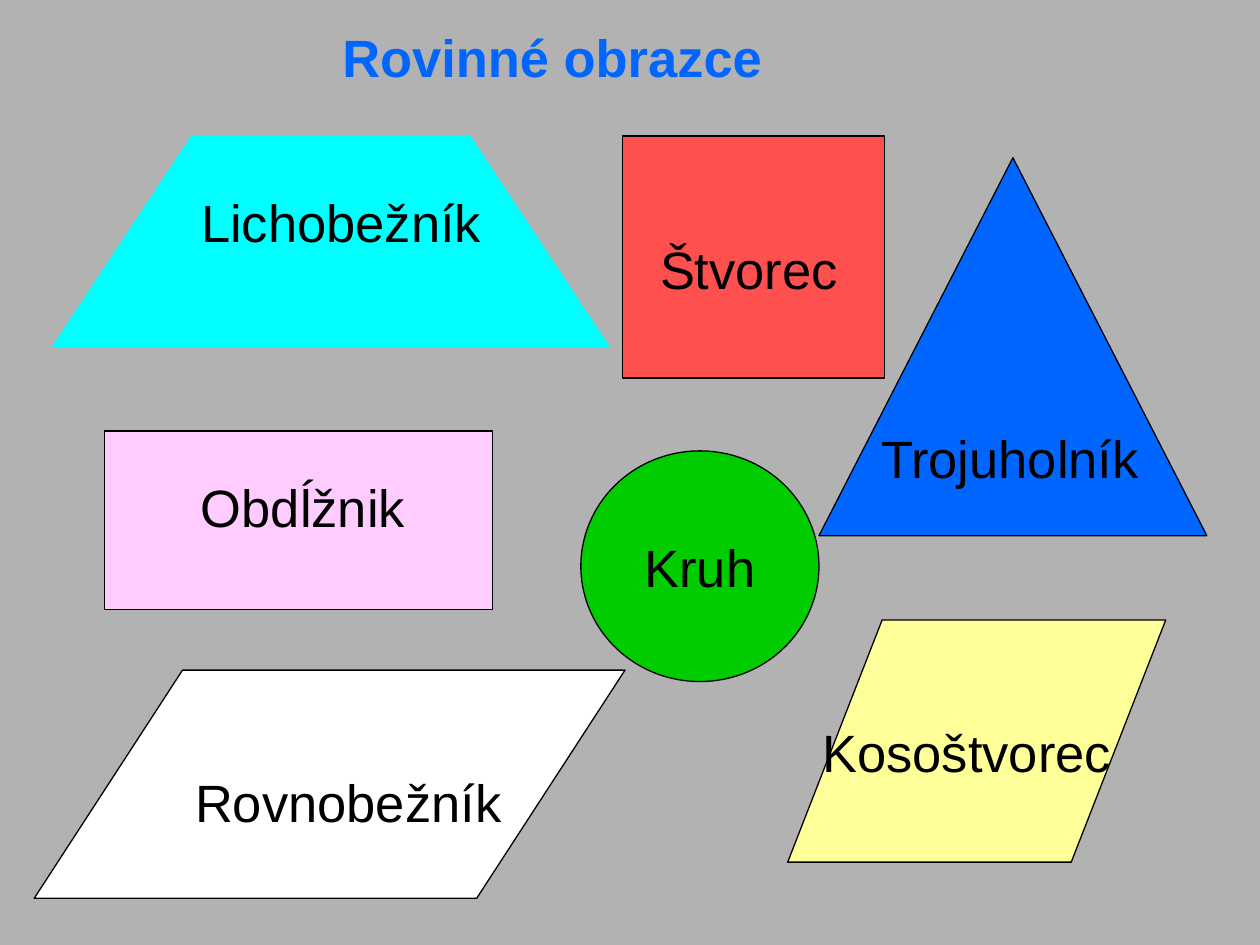
from pptx import Presentation
from pptx import util as u
from pptx.dml.color import RGBColor
from pptx.enum import shapes, text

Cm, Pt = u.Cm, u.Pt
FORM = shapes.MSO_SHAPE
COLORS = {
    "background": "B2B2B2", "black": "000000", "blue": "0066FF",
    "red": "FF5050", "white": "FFFFFF", "cyan": "00FFFF",
    "yellow": "FFFF99", "pink": "FFCCFF", "green": "00CC00",
}
LABEL_HEIGHT = 1.52

# name, form, adjustment, fill, line, box, label (centre x, top, width) within the box
FIGURES = [
    ("Štvorec", FORM.RECTANGLE, None, "red", "black",
     (12.55, 2.74, 5.28, 4.88), (2.55, 1.91, 4.1)),
    ("Trojuholník", FORM.ISOSCELES_TRIANGLE, 0.5, "blue", "black",
     (16.51, 3.18, 7.82, 7.62), (3.85, 5.28, 5.75)),
    ("Rovnobežník", FORM.PARALLELOGRAM, 0.65, "white", "black",
     (0.69, 13.51, 11.91, 4.6), (6.33, 1.88, 6.7)),
    ("Lichobežník", FORM.TRAPEZOID, 0.66, "cyan", "cyan",
     (1.07, 2.74, 11.2, 4.24), (5.81, 0.97, 6.2)),
    ("Kosoštvorec", FORM.PARALLELOGRAM, 0.39, "yellow", "black",
     (15.88, 12.5, 7.62, 4.88), (3.61, 1.88, 6.4)),
    ("Obdĺžnik", FORM.RECTANGLE, None, "pink", "black",
     (2.11, 8.69, 7.82, 3.6), (4.0, 0.76, 4.7)),
    ("Kruh", FORM.OVAL, None, "green", "black",
     (11.71, 9.09, 4.8, 4.65), None),
]


def rgb(color):
    return RGBColor.from_string(COLORS[color])


def write(frame, words, color="black", bold=False,
          align=text.PP_ALIGN.CENTER, anchor=text.MSO_ANCHOR.TOP):
    frame.word_wrap = False
    frame.auto_size = text.MSO_AUTO_SIZE.NONE
    frame.vertical_anchor = anchor
    frame.margin_left = frame.margin_right = Cm(0.25)
    frame.margin_top = frame.margin_bottom = Cm(0.13)
    paragraph = frame.paragraphs[0]
    paragraph.alignment = align
    paragraph.line_spacing = 1.0
    paragraph.space_before = Pt(0)
    run = paragraph.add_run()
    run.text = words
    run.font.name = "Arial"
    run.font.size = Pt(30)
    run.font.bold = bold
    run.font.color.rgb = rgb(color)


def place_title(slide, box):
    title = slide.shapes.title
    title.left, title.top, title.width, title.height = map(Cm, box)
    write(title.text_frame, "Rovinné obrazce", "blue", True, text.PP_ALIGN.LEFT)


def draw_figure(slide, name, form, adjustment, fill, line, box, label):
    left, top, _, _ = box
    figure = slide.shapes.add_shape(form, *map(Cm, box))
    figure.shadow.inherit = False
    figure.fill.solid()
    figure.fill.fore_color.rgb = rgb(fill)
    figure.line.color.rgb = rgb(line)
    figure.line.width = Pt(0.75)
    if adjustment is not None:
        figure.adjustments[0] = adjustment

    # A figure without a label box carries its name itself
    if label is None:
        write(figure.text_frame, name, anchor=text.MSO_ANCHOR.MIDDLE)
        return
    center, offset, width = label
    caption = slide.shapes.add_textbox(
        Cm(left + center - width / 2), Cm(top + offset), Cm(width), Cm(LABEL_HEIGHT))
    write(caption.text_frame, name)


def main():
    deck = Presentation()
    deck.slide_width, deck.slide_height = Cm(25.4), Cm(19.05)
    slide = deck.slides.add_slide(deck.slide_layouts[5])
    slide.background.fill.solid()
    slide.background.fill.fore_color.rgb = rgb("background")

    # Heading
    place_title(slide, (6.65, 0.38, 8.97, LABEL_HEIGHT))

    # Plane figures with their names
    for figure in FIGURES:
        draw_figure(slide, *figure)

    deck.save("out.pptx")


if __name__ == "__main__":
    main()
